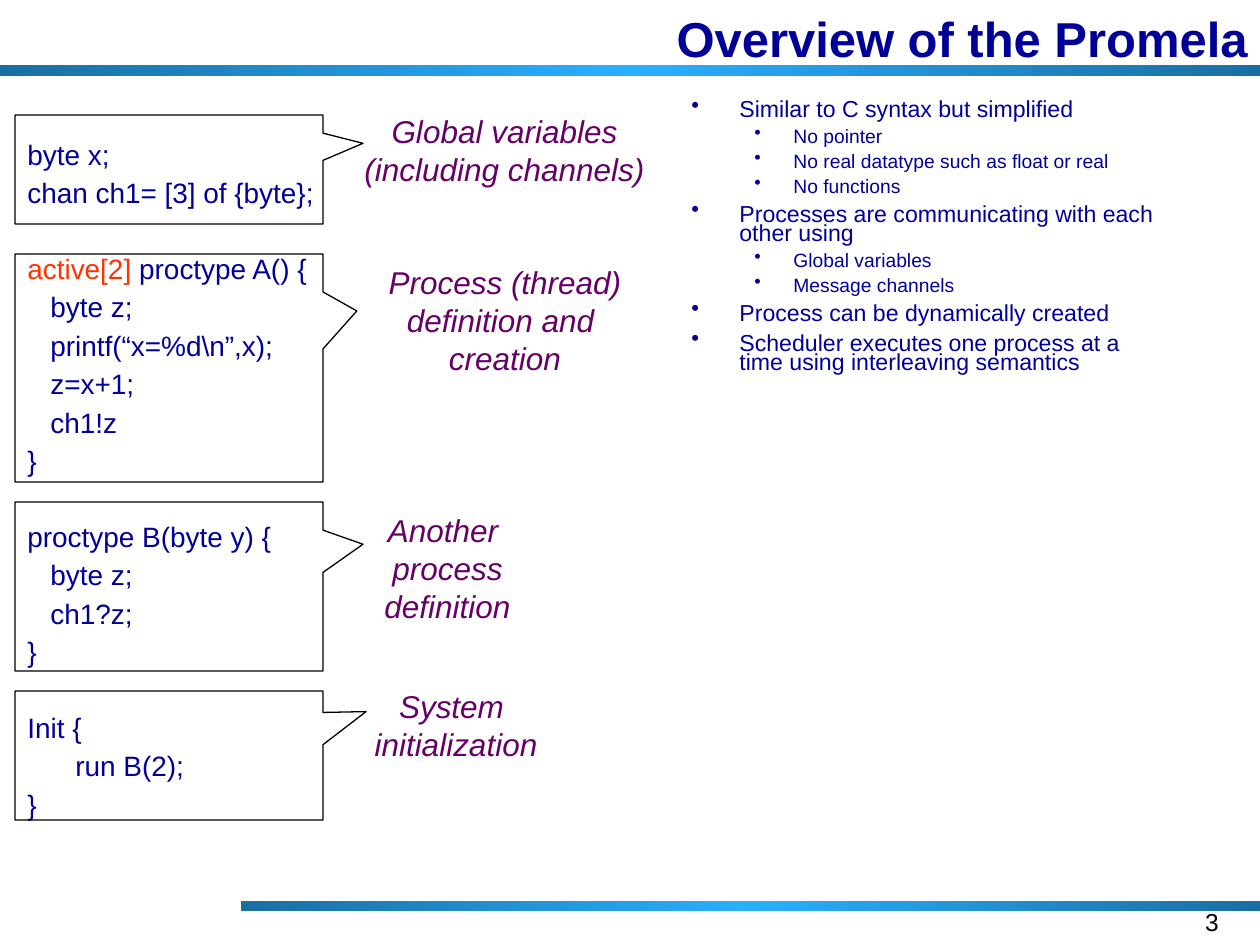
from copy import deepcopy

from lxml import etree
from pptx import Presentation
from pptx.dml.color import RGBColor
from pptx.enum.shapes import MSO_SHAPE
from pptx.enum.text import MSO_ANCHOR, PP_ALIGN
from pptx.oxml.ns import qn
from pptx.util import Emu, Pt

RECTANGLE, CALLOUT = MSO_SHAPE.RECTANGLE, MSO_SHAPE.RECTANGULAR_CALLOUT
LEFT, CENTER, RIGHT = PP_ALIGN.LEFT, PP_ALIGN.CENTER, PP_ALIGN.RIGHT
TOP, MIDDLE = MSO_ANCHOR.TOP, MSO_ANCHOR.MIDDLE
PX = 914400 / 126
BULLET = "•"


class Theme:
    font = "Arial"
    navy, red, purple, black = "000099", "FF3300", "660066", "000000"
    bar_stops = ((0, "1A6FA2"), (0.5, "29AFFF"), (1, "1A6FA2"))
    title, code, label, number = 28, 16, 18, 14
    # Bullet level: type size, space before, left margin, hanging indent
    bullets = ((13.2, 6, 48, 48), (11, 5, 102, 39))


# Code indents in px: body of a process, body of Init
BODY, INIT_BODY = 23, 48

# Each block: lines of (indent, text or coloured parts)
CODE = [
    [(0, "byte x;"), (0, "chan ch1= [3] of {byte};")],
    [(0, [("active[2]", Theme.red), (" proctype A() {", Theme.navy)]),
     (BODY, "byte z;"), (BODY, "printf(“x=%d\\n”,x);"),
     (BODY, "z=x+1;"), (BODY, "ch1!z"), (0, "}")],
    [(0, "proctype B(byte y) {"), (BODY, "byte z;"), (BODY, "ch1?z;"), (0, "}")],
    [(0, "Init {"), (INIT_BODY, "run B(2);"), (0, "}")],
]

# Callout top, height and pointer; label box and lines
CALLOUTS = [
    (115, 109, (0.63, -0.24), (352, 106, 305, 88),
     ["Global variables", "(including channels)"]),
    (254, 228, (0.61, -0.25), (372, 257, 266, 126),
     ["Process (thread) ", "definition and ", "creation"]),
    (502, 169, (0.63, -0.25), (372, 505, 151, 126),
     ["Another ", "process", "definition"]),
    (691, 129, (0.64, -0.34), (362, 681, 188, 88),
     ["System ", "initialization"]),
]

POINTS = [
    (0, "Similar to C syntax but simplified"),
    (1, "No pointer"),
    (1, "No real datatype such as float or real"),
    (1, "No functions"),
    (0, "Processes are communicating with each other using"),
    (1, "Global variables"),
    (1, "Message channels"),
    (0, "Process can be dynamically created"),
    (0, "Scheduler executes one process at a time using interleaving semantics"),
]


def px(length):
    return Emu(round(length * PX))


def set_all(target, values):
    for name, value in values.items():
        setattr(target, name, value)


def add_bar(slide, box):
    bar = slide.shapes.add_shape(RECTANGLE, *map(px, box))
    bar.shadow.inherit = False
    bar.line.fill.background()
    bar.fill.gradient()
    bar.fill.gradient_angle = 0
    stop_list = bar._element.spPr.find(qn("a:gradFill")).find(qn("a:gsLst"))
    stop_list.append(deepcopy(stop_list[0]))
    for stop, (position, color) in zip(bar.fill.gradient_stops, Theme.bar_stops):
        stop.position = position
        stop.color.rgb = RGBColor.from_string(color)


def add_frame(slide, box, wrap=True, anchor=TOP):
    frame = slide.shapes.add_textbox(*map(px, box)).text_frame
    set_all(frame, {"word_wrap": wrap, "vertical_anchor": anchor})
    return frame


def add_paragraph(frame, content, size, color=Theme.navy, bold=False,
                  italic=False, **layout):
    """Fill the frame's empty first paragraph, or add one after the last."""
    first = frame.paragraphs[0]
    paragraph = frame.add_paragraph() if first.runs else first
    set_all(paragraph, layout)
    parts = [(content, color)] if isinstance(content, str) else content
    for words, part_color in parts:
        run = paragraph.add_run()
        run.text = words
        set_all(run.font, {"name": Theme.font, "size": Pt(size),
                           "bold": bold, "italic": italic})
        run.font.color.rgb = RGBColor.from_string(part_color)
    return paragraph


def indent(paragraph, left, hanging=0):
    properties = paragraph._p.get_or_add_pPr()
    properties.set("marL", str(px(left)))
    properties.set("indent", str(-px(hanging)))
    return properties


def add_code(slide, box):
    frame = add_frame(slide, box)
    for block_index, block in enumerate(CODE):
        for line_index, (left, content) in enumerate(block):
            opens_block = block_index > 0 and line_index == 0
            line = add_paragraph(frame, content, Theme.code, alignment=LEFT,
                                 line_spacing=0.9,
                                 space_before=Pt(26 if opens_block else 4.7))
            indent(line, left)


def add_points(slide, box):
    frame = add_frame(slide, box)
    for level, words in POINTS:
        size, before, left, hanging = Theme.bullets[level]
        point = add_paragraph(frame, words, size, level=level, alignment=LEFT,
                              line_spacing=0.7, space_before=Pt(before))
        properties = indent(point, left, hanging)
        bullet_color = etree.SubElement(properties, qn("a:buClr"))
        etree.SubElement(bullet_color, qn("a:srgbClr"), val=Theme.navy)
        etree.SubElement(properties, qn("a:buChar"), char=BULLET)


def add_callout(slide, top, height, pointer):
    callout = slide.shapes.add_shape(CALLOUT, *map(px, (15, top, 308, height)))
    callout.shadow.inherit = False
    callout.fill.background()
    callout.line.color.rgb = RGBColor.from_string(Theme.black)
    callout.line.width = Pt(0.75)
    for index, value in enumerate(pointer):
        callout.adjustments[index] = value


def add_label(slide, box, lines):
    frame = add_frame(slide, box, wrap=False)
    for words in lines:
        add_paragraph(frame, words, Theme.label, Theme.purple, italic=True,
                      alignment=CENTER)


def main():
    deck = Presentation()
    set_all(deck, {"slide_width": px(1260), "slide_height": px(945)})
    slide = deck.slides.add_slide(deck.slide_layouts[6])

    # Header and footer bars
    add_bar(slide, (0, 65, 1260, 11))
    add_bar(slide, (241, 901, 1019, 10))

    # Title and page number
    title = add_frame(slide, (126, 0, 1134, 76), anchor=MIDDLE)
    add_paragraph(title, "Overview of the Promela", Theme.title, bold=True,
                  alignment=RIGHT)
    number = add_frame(slide, (937, 901, 294, 44))
    add_paragraph(number, "3", Theme.number, Theme.black, alignment=RIGHT)

    # Program and language summary
    add_code(slide, (15, 135, 397, 714))
    add_points(slide, (679, 96, 496, 318))

    # Explanations of the program's parts
    for top, height, pointer, label_box, lines in CALLOUTS:
        add_callout(slide, top, height, pointer)
        add_label(slide, label_box, lines)

    deck.save("out.pptx")


if __name__ == "__main__":
    main()
